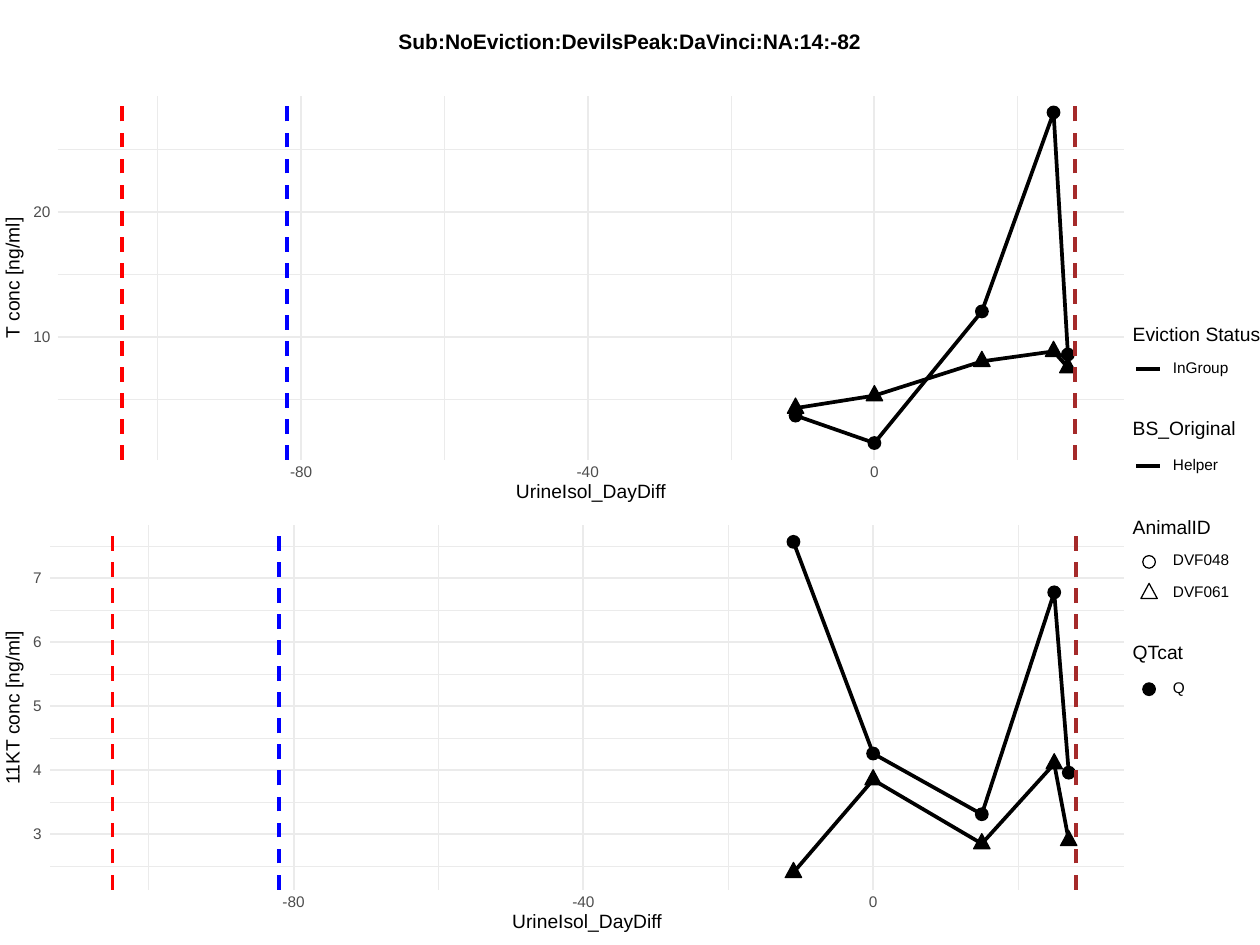
from dataclasses import dataclass
from typing import Any, Optional

import pptx
import pptx.dml.color
import pptx.enum.dml
import pptx.enum.shapes
import pptx.enum.text
import pptx.oxml
import pptx.util

Inches = pptx.util.Inches
Pt = pptx.util.Pt
Shape = pptx.enum.shapes.MSO_SHAPE
Align = pptx.enum.text.PP_ALIGN
Number = int | float


@dataclass(frozen=True)
class Theme:
    font: str = "Arial"
    paper: str = "FFFFFF"
    ink: str = "000000"
    tick: str = "4D4D4D"
    grid: str = "EBEBEB"
    title_size: float = 12
    heading_size: float = 11
    label_size: float = 8.8
    minor_width: float = 0.53
    major_width: float = 1.07
    data_width: float = 2.13
    marker_width: float = 0.71


THEME = Theme()


@dataclass(frozen=True)
class Scale:
    """Linear axis through two known values and their places in inches."""
    values: tuple[Number, Number]
    places: tuple[float, float]

    def place(self, value: Number) -> float:
        share = (value - self.values[0]) / (self.values[1] - self.values[0])
        return self.places[0] + share * (self.places[1] - self.places[0])


@dataclass(frozen=True)
class Series:
    marker: Shape
    values: tuple[float, ...]


@dataclass(frozen=True)
class Panel:
    left: float
    top: float
    x: Scale
    y: Scale
    minor_y: tuple[float, ...]
    major_y: tuple[int, ...]
    label_right: float
    y_title: str
    y_title_width: float
    series: tuple[Series, ...]
    right: float = 8.92
    height: float = 2.89

    @property
    def bottom(self) -> float:
        return self.top + self.height


@dataclass(frozen=True)
class LegendGroup:
    heading: str
    top: float
    height: float


@dataclass(frozen=True)
class LegendKey:
    text: str
    y: float
    marker: Optional[Shape] = None
    filled: bool = True


DAYS = (-11, 0, 15, 25, 27)
MINOR_DAYS = (-100, -60, -20, 20)
MAJOR_DAYS = (-80, -40, 0)
EVENTS = {-105: "FF0000", -82: "0000FF", 28: "A52A2A"}
PANELS = (
    Panel(0.46, 0.76, Scale((-80, 0), (2.39, 6.94)), Scale((5, 25), (3.17, 1.19)),
          (5, 15, 25), (10, 20), 0.4, "T conc [ng/ml]", 0.98,
          (Series(Shape.OVAL, (3.7, 1.5, 12.05, 28, 8.6)),
           Series(Shape.ISOSCELES_TRIANGLE, (4.3, 5.3, 8.05, 8.85, 7.55)))),
    Panel(0.4, 4.17, Scale((-80, 0), (2.33, 6.93)), Scale((3, 7), (6.62, 4.59)),
          (2.5, 3.5, 4.5, 5.5, 6.5, 7.5), (3, 4, 5, 6, 7), 0.33, "11KT conc [ng/ml]", 1.25,
          (Series(Shape.OVAL, (7.57, 4.26, 3.31, 6.78, 3.96)),
           Series(Shape.ISOSCELES_TRIANGLE, (2.4, 3.85, 2.85, 4.1, 2.9)))),
)
LEGEND_GROUPS = (
    LegendGroup("Eviction Status", 2.61, 0.11),
    LegendGroup("BS_Original", 3.34, 0.14),
    LegendGroup("AnimalID", 4.14, 0.11),
    LegendGroup("QTcat", 5.13, 0.12),
)
LEGEND_KEYS = (
    LegendKey("InGroup", 2.93),
    LegendKey("Helper", 3.7),
    LegendKey("DVF048", 4.46, Shape.OVAL, False),
    LegendKey("DVF061", 4.71, Shape.ISOSCELES_TRIANGLE, False),
    LegendKey("Q", 5.47, Shape.OVAL),
)


def rgb(value: str) -> pptx.dml.color.RGBColor:
    return pptx.dml.color.RGBColor.from_string(value)


def apply(target: Any, formats: dict[str, Any]) -> None:
    for name, value in formats.items():
        setattr(target, name, value)


def style_shape(shape: Any, fill: Optional[str], line: str, width: float) -> None:
    shape.shadow.inherit = False
    if fill:
        shape.fill.solid()
        shape.fill.fore_color.rgb = rgb(fill)
    else:
        shape.fill.background()
    shape.line.color.rgb = rgb(line)
    shape.line.width = Pt(width)


def add_text(page: Any, text: str, left: float, top: float, width: float, height: float,
             size: float, color: str = THEME.ink, align: Align = Align.LEFT,
             bold: bool = False, rotation: float = 0) -> None:
    box = page.shapes.add_textbox(Inches(left), Inches(top), Inches(width), Inches(height))
    box.rotation = rotation
    frame = box.text_frame
    apply(frame, {"margin_left": 0, "margin_right": 0, "margin_top": 0, "margin_bottom": 0,
                  "word_wrap": False, "vertical_anchor": pptx.enum.text.MSO_ANCHOR.MIDDLE})
    para = frame.paragraphs[0]
    apply(para, {"alignment": align, "line_spacing": Pt(size)})
    span = para.add_run()
    span.text = text
    apply(span.font, {"name": THEME.font, "size": Pt(size), "bold": bold})
    span.font.color.rgb = rgb(color)


def add_line(page: Any, start: tuple[float, float], end: tuple[float, float],
             color: str, width: float, dashed: bool = False) -> None:
    line = page.shapes.add_connector(pptx.enum.shapes.MSO_CONNECTOR.STRAIGHT,
                                     *(Inches(value) for value in start + end))
    line.line.color.rgb = rgb(color)
    line.line.width = Pt(width)
    if dashed:
        line.line.dash_style = pptx.enum.dml.MSO_LINE.DASH
    properties = line._element.spPr
    properties.append(properties.makeelement(pptx.oxml.ns.qn("a:effectLst"), {}))


def add_marker(page: Any, kind: Shape, x: float, y: float, filled: bool = True) -> None:
    """Centre a marker by weight: a triangle reaches further up than down."""
    width, height, rise = (0.1, 0.1, 0.05) if kind == Shape.OVAL else (0.13, 0.12, 0.08)
    marker = page.shapes.add_shape(kind, Inches(x - width / 2), Inches(y - rise),
                                   Inches(width), Inches(height))
    style_shape(marker, THEME.ink if filled else None, THEME.ink, THEME.marker_width)


def draw_grid(page: Any, panel: Panel) -> None:
    for days, levels, width in ((MINOR_DAYS, panel.minor_y, THEME.minor_width),
                                (MAJOR_DAYS, panel.major_y, THEME.major_width)):
        for y in map(panel.y.place, levels):
            add_line(page, (panel.left, y), (panel.right, y), THEME.grid, width)
        for x in map(panel.x.place, days):
            add_line(page, (x, panel.bottom), (x, panel.top), THEME.grid, width)


def draw_series(page: Any, panel: Panel) -> None:
    traces = [(series.marker, [(panel.x.place(day), panel.y.place(value))
                               for day, value in zip(DAYS, series.values)])
              for series in panel.series]
    for _, points in traces:
        corners = [(Inches(x), Inches(y)) for x, y in points]
        builder = page.shapes.build_freeform(*corners[0])
        builder.add_line_segments(corners[1:], close=False)
        style_shape(builder.convert_to_shape(), None, THEME.ink, THEME.data_width)
    for marker, points in traces:
        for x, y in points:
            add_marker(page, marker, x, y)


def draw_axis_text(page: Any, panel: Panel) -> None:
    for level in panel.major_y:
        width = 0.08 * len(str(level))
        add_text(page, str(level), panel.label_right - width, panel.y.place(level) - 0.04,
                 width, 0.09, THEME.label_size, THEME.tick, Align.RIGHT)
    for day in MAJOR_DAYS:
        width = 0.2 if day else 0.08
        add_text(page, str(day), panel.x.place(day) - width / 2, panel.bottom + 0.06,
                 width, 0.09, THEME.label_size, THEME.tick, Align.CENTER)
    add_text(page, "UrineIsol_DayDiff", (panel.left + panel.right - 1.21) / 2,
             panel.bottom + 0.19, 1.21, 0.14, THEME.heading_size, align=Align.CENTER)
    add_text(page, panel.y_title, 0.11 - panel.y_title_width / 2,
             panel.top + panel.height / 2 - 0.07, panel.y_title_width, 0.14,
             THEME.heading_size, align=Align.CENTER, rotation=270)


def draw_panel(page: Any, panel: Panel) -> None:
    draw_grid(page, panel)
    draw_series(page, panel)
    for day, color in EVENTS.items():
        x = panel.x.place(day)
        add_line(page, (x, panel.bottom), (x, panel.top), color, THEME.data_width, dashed=True)
    draw_axis_text(page, panel)


def draw_legend(page: Any) -> None:
    for group in LEGEND_GROUPS:
        add_text(page, group.heading, 8.99, group.top, 1.04, group.height, THEME.heading_size)
    for key in LEGEND_KEYS:
        if key.marker is None:
            add_line(page, (9.02, key.y), (9.21, key.y), THEME.ink, THEME.data_width)
        else:
            add_marker(page, key.marker, 9.12, key.y, key.filled)
        add_text(page, key.text, 9.31, key.y - 0.05, 0.5, 0.09, THEME.label_size)


def main() -> None:
    deck = pptx.Presentation()
    deck.slide_width, deck.slide_height = Inches(10), Inches(7.5)
    page = deck.slides.add_slide(deck.slide_layouts[6])
    paper = page.shapes.add_shape(Shape.RECTANGLE, 0, 0, deck.slide_width, deck.slide_height)
    style_shape(paper, THEME.paper, THEME.paper, 0.75)
    add_text(page, "Sub:NoEviction:DevilsPeak:DaVinci:NA:14:-82", 3.15, 0.28, 3.7, 0.12,
             THEME.title_size, align=Align.CENTER, bold=True)
    for panel in PANELS:
        draw_panel(page, panel)
    draw_legend(page)
    deck.save("out.pptx")


if __name__ == "__main__":
    main()
